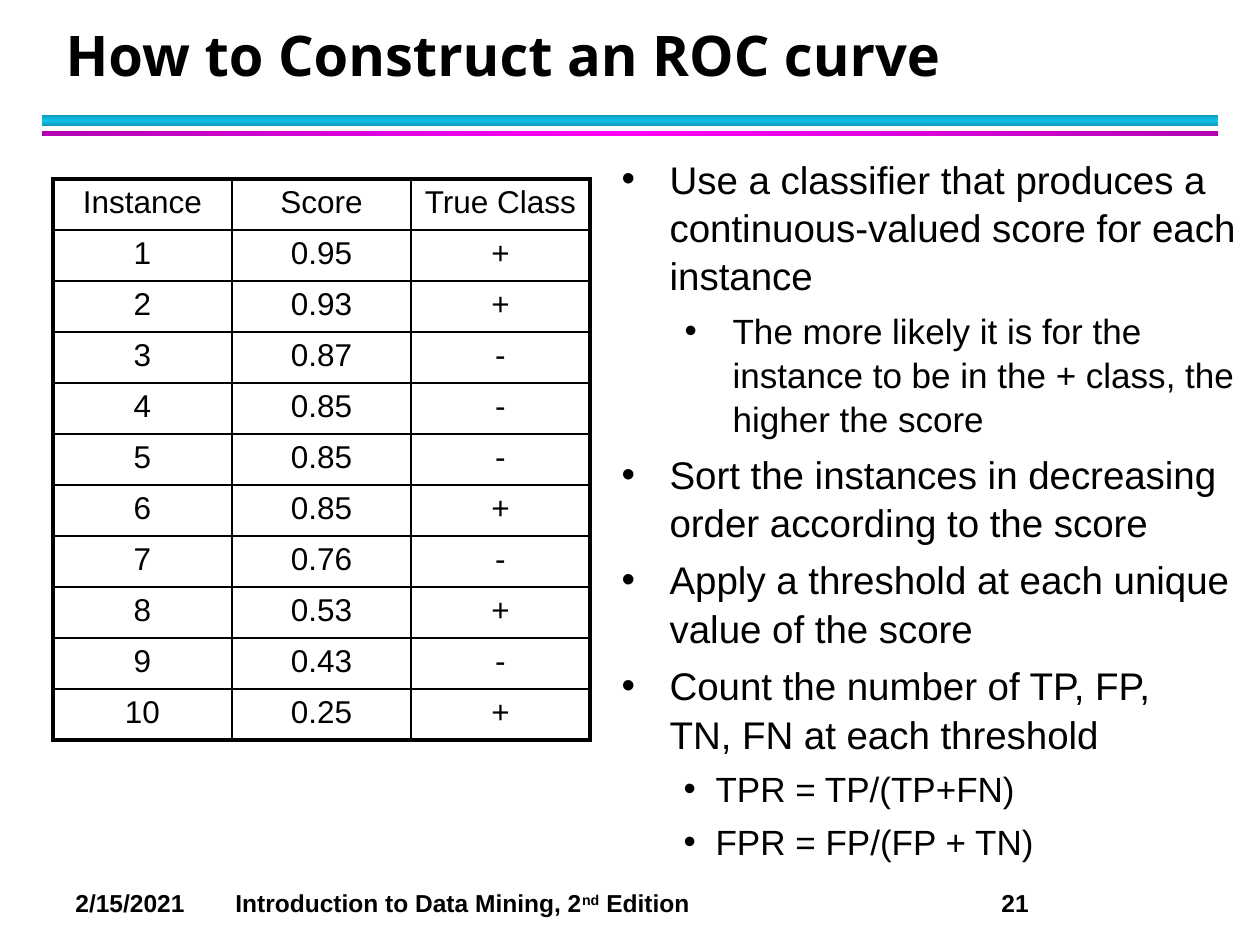
from copy import deepcopy

from lxml import etree
from pptx import Presentation
from pptx.dml.color import RGBColor
from pptx.enum.shapes import MSO_SHAPE
from pptx.enum.text import MSO_ANCHOR, MSO_AUTO_SIZE, PP_ALIGN
from pptx.oxml.ns import qn
from pptx.util import Emu, Pt

RECT = MSO_SHAPE.RECTANGLE
LEFT, CENTER = PP_ALIGN.LEFT, PP_ALIGN.CENTER
TOP, BOTTOM = MSO_ANCHOR.TOP, MSO_ANCHOR.BOTTOM
NO_FIT = MSO_AUTO_SIZE.NONE
BLACK = "000000"

# Content
TITLE = "How to Construct an ROC curve"
HEADER = ("Instance", "Score", "True Class")
SCORES = [("0.95", "+"), ("0.93", "+"), ("0.87", "-"), ("0.85", "-"), ("0.85", "-"),
          ("0.85", "+"), ("0.76", "-"), ("0.53", "+"), ("0.43", "-"), ("0.25", "+")]
# level, text indent px, hanging px, text
BULLETS = [
    (0, 48, 48, "Use a classifier that produces a continuous-valued score for each instance"),
    (1, 111, 48, "The more likely it is for the instance to be in the + class, the higher the score"),
    (0, 48, 48, "Sort the instances in decreasing order according to the score"),
    (0, 48, 48, "Apply a threshold at each unique value of the score"),
    (0, 48, 48, "Count the number of TP, FP, \vTN, FN at each threshold"),
    (1, 94, 32, "TPR = TP/(TP+FN)"),
    (1, 94, 32, "FPR = FP/(FP + TN)"),
]
BULLET_SIZES = (22, 20)
# text, baseline shift in 1/1000 %
FOOTER = [("2/15/2021\tIntroduction to Data Mining, 2", 0), ("nd", 30000), (" Edition\t21", 0)]
FOOTER_TABS = (160, 926)
# top, height, edge colour, middle colour, angle
RULES = [(115, 11, "0E9BBA", "12C2E9", 90), (131, 5, "B200B2", "FF00FF", 0)]


def px(n):
    return Emu(round(n * 914400 / 126))


def rgb(color):
    return RGBColor.from_string(color)


def place(sp, x, y, w, h):
    sp.left, sp.top, sp.width, sp.height = px(x), px(y), px(w), px(h)


def add_run(p, text, size, bold=False, font="Arial"):
    r = p.add_run()
    r.text = text
    r.font.size, r.font.bold, r.font.name = Pt(size), bold, font
    r.font.color.rgb = rgb(BLACK)
    return r


def set_border(cell, side, width):
    ln = etree.SubElement(cell._tc.get_or_add_tcPr(), qn(f"a:ln{side}"), w=str(Pt(width)))
    fill = etree.SubElement(ln, qn("a:solidFill"))
    etree.SubElement(fill, qn("a:srgbClr"), val=BLACK)


prs = Presentation()
prs.slide_width, prs.slide_height = px(1260), px(945)
s = prs.slides.add_slide(prs.slide_layouts[1])
title, body = s.placeholders

# Double rule under the title
for top, height, edge, middle, angle in RULES:
    sp = s.shapes.add_shape(RECT, px(42), px(top), px(1176), px(height))
    sp.shadow.inherit = False
    sp.line.fill.background()
    sp.fill.gradient()
    sp.fill.gradient_angle = angle
    stops = sp._element.spPr.find(qn("a:gradFill")).find(qn("a:gsLst"))
    stops.append(deepcopy(stops[-1]))
    for stop, pos, color in zip(sp.fill.gradient_stops, (0, 0.5, 1), (edge, middle, edge)):
        stop.position = pos
        stop.color.rgb = rgb(color)

# Title
place(title, 53, 21, 1142, 73)
tf = title.text_frame
tf.auto_size, tf.vertical_anchor = NO_FIT, BOTTOM
p = tf.paragraphs[0]
p.alignment, p.line_spacing = LEFT, Pt(36)
add_run(p, TITLE, 32, True, "Open Sans")

# Score table
rows = [HEADER] + [(str(i), *row) for i, row in enumerate(SCORES, 1)]
n_rows, n_cols = len(rows), len(HEADER)
table = s.shapes.add_table(n_rows, n_cols, px(53), px(179),
                           px(179 * n_cols), px(51 * n_rows)).table
table.first_row = table.horz_banding = False
for i, row in enumerate(rows):
    for j, text in enumerate(row):
        cell = table.cell(i, j)
        cell.vertical_anchor = TOP
        outer = {"L": j == 0, "R": j == n_cols - 1, "T": i == 0, "B": i == n_rows - 1}
        for side, is_outer in outer.items():
            set_border(cell, side, 2.25 if is_outer else 1)
        cell.fill.background()
        p = cell.text_frame.paragraphs[0]
        p.alignment = CENTER
        add_run(p, text, 18)

# Bulleted steps
place(body, 609, 147, 640, 698)
tf = body.text_frame
tf.auto_size, tf.vertical_anchor = NO_FIT, TOP
for i, (level, indent, hanging, text) in enumerate(BULLETS):
    p = tf.add_paragraph() if i else tf.paragraphs[0]
    p.level, p.alignment, p.line_spacing = level, LEFT, 1.05
    p.space_before = Pt(5 if i else 0)
    pPr = p._p.get_or_add_pPr()
    pPr.set("marL", str(px(indent)))
    pPr.set("indent", str(-px(hanging)))
    etree.SubElement(pPr, qn("a:buFont"), typeface="Arial")
    etree.SubElement(pPr, qn("a:buChar"), char="•")
    for k, line in enumerate(text.split("\v")):
        if k:
            p.add_line_break()
        add_run(p, line, BULLET_SIZES[level])

# Footer
tf = s.shapes.add_textbox(px(63), px(882), px(1176), px(43)).text_frame
tf.word_wrap = True
p = tf.paragraphs[0]
tabs = etree.SubElement(p._p.get_or_add_pPr(), qn("a:tabLst"))
for pos in FOOTER_TABS:
    etree.SubElement(tabs, qn("a:tab"), pos=str(px(pos)), algn="l")
for text, shift in FOOTER:
    r = add_run(p, text, 14, True)
    if shift:
        r._r.get_or_add_rPr().set("baseline", str(shift))

prs.save("out.pptx")
